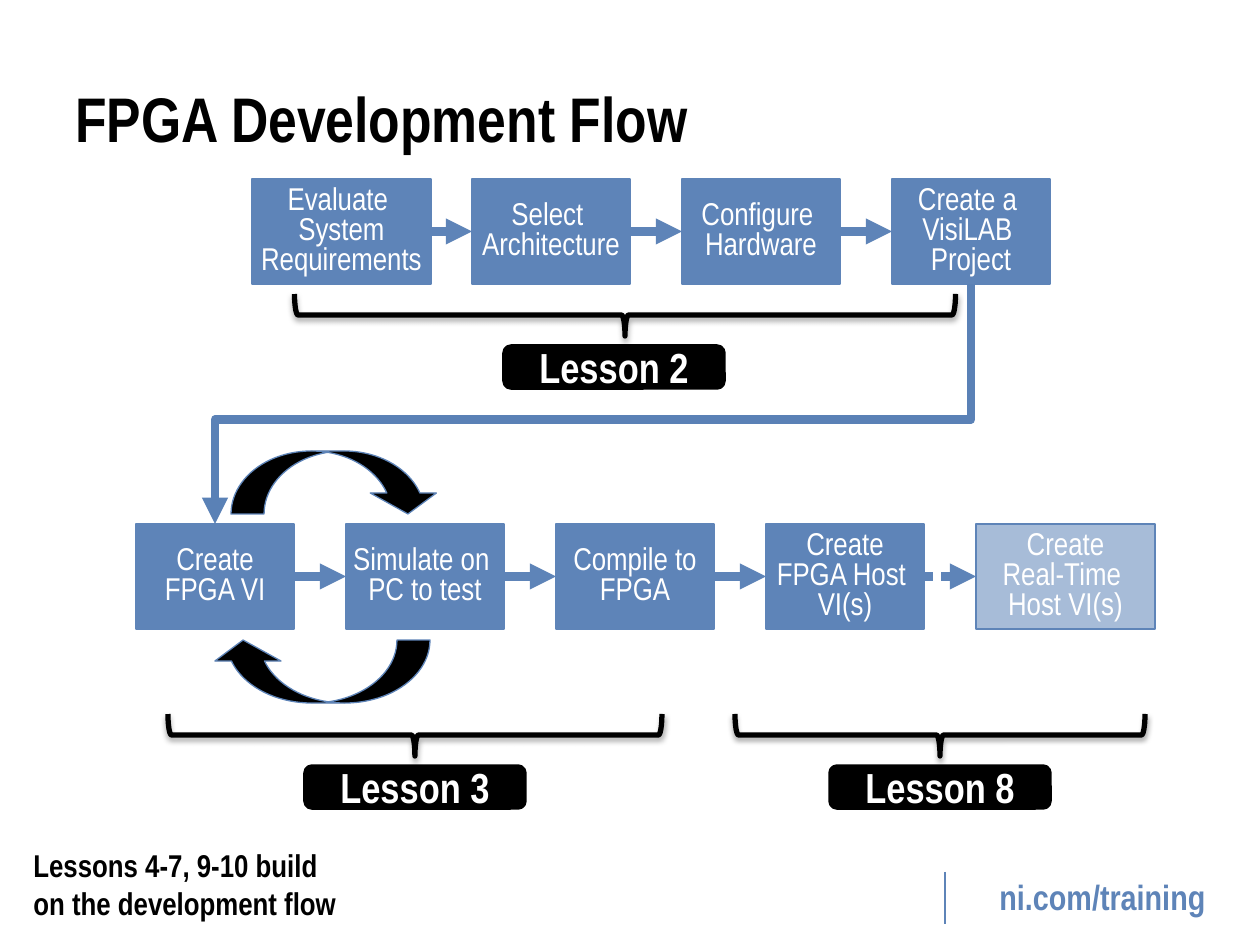
import pptx
import pptx.util
import pptx.dml.color
import pptx.enum.dml
import pptx.enum.shapes
import pptx.enum.text
import pptx.oxml
import pptx.oxml.ns

PX = 914400 / 126
COLORS = {"blue": "5E84B8", "route": "5A81B6", "black": "000000", "white": "FFFFFF"}
FONT = "Arial Narrow"
SHAPES = pptx.enum.shapes.MSO_SHAPE
CONNECTORS = pptx.enum.shapes.MSO_CONNECTOR
ALIGN = pptx.enum.text.PP_ALIGN
ANCHOR = pptx.enum.text.MSO_ANCHOR

# Content: steps are (text, left, width)
STEP_WIDTH, WIDE_STEP, STEP_HEIGHT, PITCH = 158, 179, 105, 210
TOP_ROW, BOTTOM_ROW = 179, 524
TOP_STEPS = [("Evaluate \nSystem\nRequirements", 252, WIDE_STEP)] + [
    (text, 472 + PITCH * index, STEP_WIDTH) for index, text in enumerate(
        ["Select \nArchitecture", "Configure \nHardware", "Create a \nVisiLAB \nProject"])]
BOTTOM_STEPS = [
    (text, 136 + PITCH * index, STEP_WIDTH) for index, text in enumerate(
        ["Create\nFPGA VI", "Simulate on \nPC to test", "Compile to\nFPGA",
         "Create\nFPGA Host \nVI(s)"])] + [("Create\nReal-Time \nHost VI(s)", 976, WIDE_STEP)]
# text, brace centre, brace length, brace top, label centre
LESSONS = [("Lesson 2", 625, 661, 294, 614),
           ("Lesson 3", 415, 494, 714, 415),
           ("Lesson 8", 940, 410, 714, 940)]
# left, top, width, height, rotation
LOOP_ARROWS = [(231, 451, 210, 63, 0), (210, 640, 220, 63, 180)]
# text, box, size, colour, alignment, anchor
TEXTS = [
    ("FPGA Development Flow", (63, 38, 1134, 158), 36, "black", ALIGN.LEFT, ANCHOR.MIDDLE),
    ("Lessons 4-7, 9-10 build\non the development flow", (21, 840, 546, 89), 18, "black",
     ALIGN.LEFT, ANCHOR.TOP),
    ("ni.com/training", (966, 869, 273, 55), 20, "blue", ALIGN.CENTER, ANCHOR.TOP),
]


def px(value):
    return pptx.util.Emu(round(value * PX))


def color(name):
    return pptx.dml.color.RGBColor.from_string(COLORS[name])


def element(markup):
    name, rest = markup.split(" ", 1)
    return pptx.oxml.parse_xml(f"<a:{name} {pptx.oxml.ns.nsdecls('a')} {rest}")


def write(shape, text, size, color_name, bold, align, anchor, wrap=True, spacing=None):
    frame = shape.text_frame
    frame.text = text
    for name, value in {"word_wrap": wrap, "vertical_anchor": anchor}.items():
        setattr(frame, name, value)
    for paragraph in frame.paragraphs:
        for name, value in {"alignment": align, "line_spacing": spacing}.items():
            setattr(paragraph, name, value)
        font_format = {"name": FONT, "size": pptx.util.Pt(size), "bold": bold}
        for name, value in font_format.items():
            setattr(paragraph.font, name, value)
        paragraph.font.color.rgb = color(color_name)


def add_shape(shapes, kind, box, fill, line, width):
    shape = shapes.add_shape(kind, *map(px, box))
    shape.shadow.inherit = False
    if fill:
        shape.fill.solid()
        shape.fill.fore_color.rgb = color(fill)
    else:
        shape.fill.background()
    shape.line.color.rgb = color(line)
    shape.line.width = pptx.util.Pt(width)
    return shape


def add_line(shapes, kind, ends, color_name, width, arrow=True, dashed=False):
    line = shapes.add_connector(kind, *map(px, ends))
    line.line.color.rgb = color(color_name)
    line.line.width = pptx.util.Pt(width)
    if dashed:
        line.line.dash_style = pptx.enum.dml.MSO_LINE.ROUND_DOT
        line.line._ln.find(pptx.oxml.ns.qn("a:prstDash")).set("val", "sysDot")
    if arrow:
        line.line._ln.append(element('tailEnd type="triangle"/>'))
    line._element.spPr.append(element("effectLst />"))
    return line


def add_row(shapes, steps, top):
    boxes = []
    for text, left, width in steps:
        box = add_shape(shapes, SHAPES.RECTANGLE, (left, top, width, STEP_HEIGHT),
                        "blue", "blue", 0.75)
        write(box, text, 18, "white", False, ALIGN.CENTER, ANCHOR.MIDDLE, False, 0.8)
        boxes.append(box)
    for index, (first, second) in enumerate(zip(boxes, boxes[1:])):
        optional = top == BOTTOM_ROW and index == len(boxes) - 2
        arrow = add_line(shapes, CONNECTORS.STRAIGHT, (0, 0, 0, 0), "blue", 5, dashed=optional)
        arrow.begin_connect(first, 3)
        arrow.end_connect(second, 1)
    return boxes


def add_lesson(shapes, text, centre, length, top, label_centre):
    depth = 42
    box = (centre - depth / 2, top + depth / 2 - length / 2, depth, length)
    brace = add_shape(shapes, SHAPES.LEFT_BRACE, box, None, "black", 3)
    brace.rotation = 270
    brace._element.spPr.find(pptx.oxml.ns.qn("a:effectLst")).append(element(
        'outerShdw blurRad="40000" dist="23000" dir="5400000" rotWithShape="0">'
        '<a:srgbClr val="000000"><a:alpha val="35000"/></a:srgbClr></a:outerShdw>'))
    label = add_shape(shapes, SHAPES.ROUNDED_RECTANGLE,
                      (label_centre - 110, top + 52, 220, depth), "black", "black", 2)
    write(label, text, 24, "white", True, ALIGN.CENTER, ANCHOR.MIDDLE)


def add_route(shapes):
    # Elbow from the last upper step down to the first lower step
    start_x = TOP_STEPS[-1][1] + STEP_WIDTH / 2
    end_x = BOTTOM_STEPS[0][1] + STEP_WIDTH / 2
    start_y = TOP_ROW + STEP_HEIGHT
    middle_x, middle_y = (start_x + end_x) / 2, (start_y + BOTTOM_ROW) / 2
    half_drop, half_span = (BOTTOM_ROW - start_y) / 2, (start_x - end_x) / 2
    ends = (middle_x - half_drop, middle_y - half_span,
            middle_x + half_drop, middle_y + half_span)
    route = add_line(shapes, CONNECTORS.ELBOW, ends, "route", 5)
    properties = route._element.spPr
    properties.find(pptx.oxml.ns.qn("a:xfrm")).set("rot", "5400000")
    geometry = properties.find(pptx.oxml.ns.qn("a:prstGeom"))
    for old in list(geometry):
        geometry.remove(old)
    geometry.append(element('avLst ><a:gd name="adj1" fmla="val 56500"/></a:avLst>'))


def main():
    presentation = pptx.Presentation()
    presentation.slide_width, presentation.slide_height = px(1260), px(945)
    slide = presentation.slides.add_slide(presentation.slide_layouts[6])
    shapes = slide.shapes

    # Title, note and footer
    for text, box, size, color_name, align, anchor in TEXTS:
        write(shapes.add_textbox(*map(px, box)), text, size, color_name, True, align, anchor)
    add_line(shapes, CONNECTORS.STRAIGHT, (945, 872, 945, 924), "blue", 1.5, arrow=False)

    # Two rows of steps; the last step is optional and paler
    add_row(shapes, TOP_STEPS, TOP_ROW)
    optional_step = add_row(shapes, BOTTOM_STEPS, BOTTOM_ROW)[-1]
    optional_step.fill._xPr.find(pptx.oxml.ns.qn("a:solidFill"))[0].append(
        element('alpha val="54000"/>'))

    # Loop between creating and simulating
    for *box, rotation in LOOP_ARROWS:
        arrow = add_shape(shapes, SHAPES.CURVED_DOWN_ARROW, box, "black", "blue", 0.75)
        arrow.rotation = rotation
        for index, value in enumerate((0.525, 1.05, 0.333)):
            arrow.adjustments[index] = round(value, 3)

    # Lesson braces and the route between rows
    for lesson in LESSONS:
        add_lesson(shapes, *lesson)
    add_route(shapes)
    presentation.save("out.pptx")


if __name__ == "__main__":
    main()
